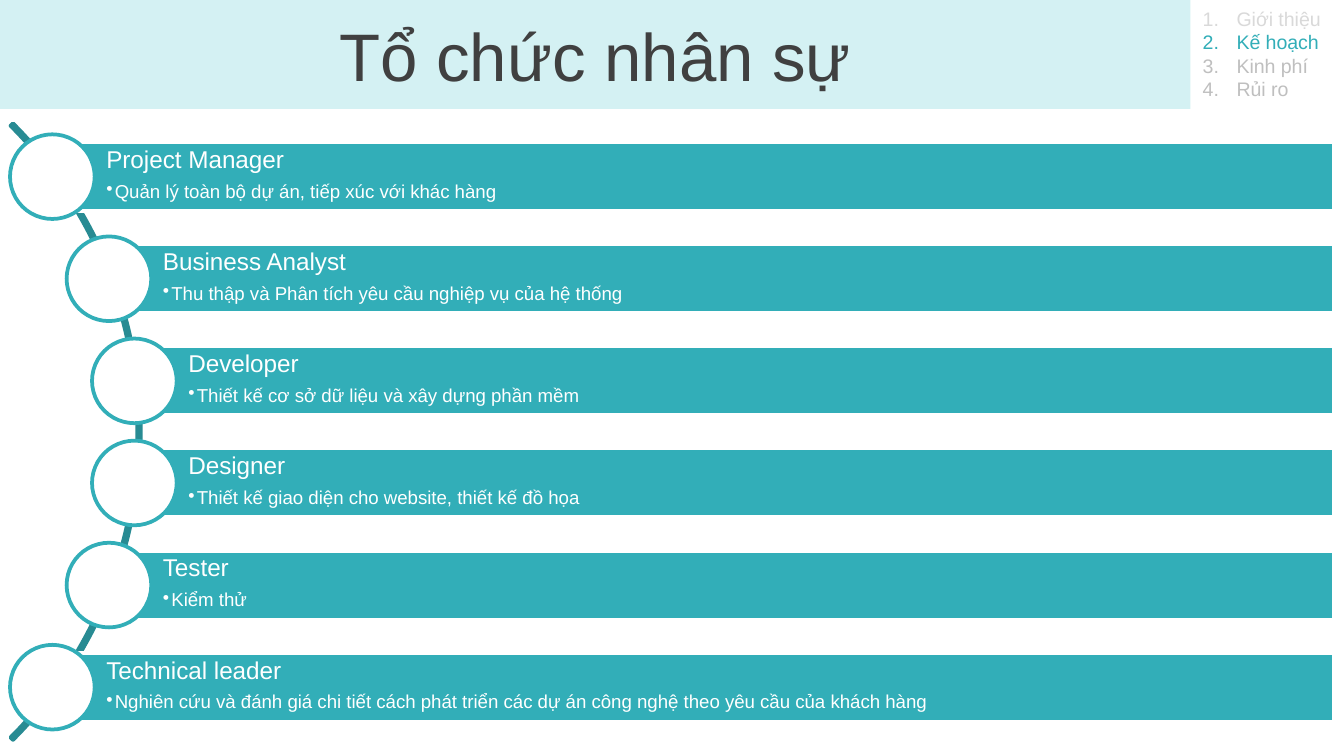
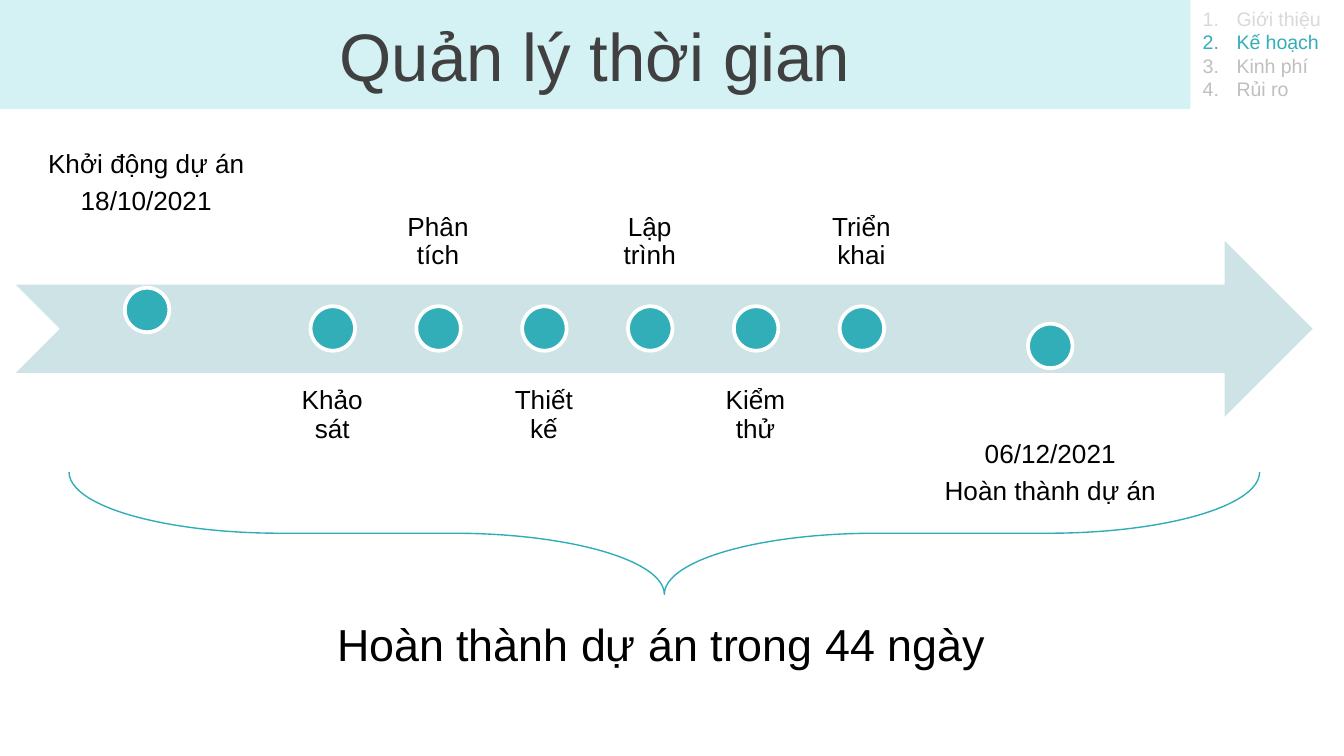
"""Build two slides of a project plan: the team and the timeline."""
import pptx
import pptx.util
import pptx.dml.color
import pptx.enum.shapes
import pptx.enum.text
import lxml.etree

Cm = pptx.util.Cm
Pt = pptx.util.Pt
MSO = pptx.enum.shapes.MSO_SHAPE
ALIGN = pptx.enum.text.PP_ALIGN
ANCHOR = pptx.enum.text.MSO_ANCHOR

FONT = "Arial"
COLORS = {
    "teal": "32AEB8",
    "dark_teal": "288B93",
    "brace": "2EADB7",
    "band": "D4F1F3",
    "arrow": "CEE3E6",
    "title": "404040",
    "past": "D9D9D9",
    "future": "BFBFBF",
    "white": "FFFFFF",
    "black": "000000",
}
AGENDA = [
    ("Giới thiệu", "past"),
    ("Kế hoạch", "teal"),
    ("Kinh phí", "future"),
    ("Rủi ro", "future"),
]
ROLES = [
    ("Project Manager", "Quản lý toàn bộ dự án, tiếp xúc với khác hàng"),
    ("Business Analyst", "Thu thập và Phân tích yêu cầu nghiệp vụ của hệ thống"),
    ("Developer", "Thiết kế cơ sở dữ liệu và xây dựng phần mềm"),
    ("Designer", "Thiết kế giao diện cho website, thiết kế đồ họa"),
    ("Tester", "Kiểm thử"),
    ("Technical leader", "Nghiên cứu và đánh giá chi tiết cách phát triển các dự án "
     "công nghệ theo yêu cầu của khách hàng"),
]
BAR_LEFTS = [0.99, 2.06, 2.54, 2.54, 2.06, 0.99]
BAR_RIGHT = 25.22
ROW_PITCH = 1.93
STEPS = ["Khảo sát", "Phân tích", "Thiết kế", "Lập trình", "Kiểm thử", "Triển khai"]
STEP_PITCH = 2.0


def rgb(name):
    """Return a named colour."""
    return pptx.dml.color.RGBColor.from_string(COLORS[name])


def write(tf, text, size=14, color="black", align=ALIGN.LEFT, spacing=1.0,
          before=0, after=0, bullet=None, indent=0, level=0):
    """Add one formatted paragraph to a text frame."""
    p = tf.paragraphs[0] if not tf.text else tf.add_paragraph()
    p.alignment = align
    p.level = level
    p.line_spacing = spacing
    p.space_before = Pt(before)
    p.space_after = Pt(after)
    r = p.add_run()
    r.text = text
    r.font.name = FONT
    r.font.size = Pt(size)
    r.font.color.rgb = rgb(color)
    if bullet:
        pPr = p._p.get_or_add_pPr()
        pPr.set("marL", str(Cm(indent)))
        pPr.set("indent", str(-Cm(indent)))
        tag, key, value = bullet
        lxml.etree.SubElement(pPr, pptx.oxml.ns.qn(tag)).set(key, value)


def frame(sp, left=0.25, top=0.13, right=0.25, bottom=0.13, anchor=ANCHOR.TOP):
    """Set the margins, wrapping and anchor of a shape's text."""
    tf = sp.text_frame
    tf.word_wrap = True
    tf.auto_size = pptx.enum.text.MSO_AUTO_SIZE.NONE
    tf.vertical_anchor = anchor
    tf.margin_left, tf.margin_top = Cm(left), Cm(top)
    tf.margin_right, tf.margin_bottom = Cm(right), Cm(bottom)
    return tf


def place(sp, left, top, width, height):
    """Move and size a placeholder."""
    sp.left, sp.top, sp.width, sp.height = Cm(left), Cm(top), Cm(width), Cm(height)


def shape(s, kind, left, top, width, height, fill=None, line=None, weight=2):
    """Add a preset shape without a shadow."""
    sp = s.shapes.add_shape(kind, Cm(left), Cm(top), Cm(width), Cm(height))
    sp.shadow.inherit = False
    if fill:
        sp.fill.solid()
        sp.fill.fore_color.rgb = rgb(fill)
    else:
        sp.fill.background()
    if line:
        sp.line.color.rgb = rgb(line)
        sp.line.width = Pt(weight)
    else:
        sp.line.fill.background()
    return sp


def label(s, lines, left, top, width, height, anchor=ANCHOR.TOP):
    """Add a centred timeline label."""
    sp = s.shapes.add_textbox(Cm(left), Cm(top), Cm(width), Cm(height))
    tf = frame(sp, 0.28, 0.28, 0.28, 0.28, anchor)
    for text in lines:
        write(tf, text, align=ALIGN.CENTER, spacing=0.9, after=4.9)


def dot(s, left, top):
    """Add a timeline marker."""
    shape(s, MSO.OVAL, left, top, 0.84, 0.84, "teal", "white")


def new_slide(prs, title):
    """Add a slide with the title band and the agenda."""
    s = prs.slides.add_slide(prs.slide_layouts[1])
    band, agenda = s.shapes.title, s.placeholders[1]
    place(band, 0, 0, 22.5, 2.06)
    band.fill.solid()
    band.fill.fore_color.rgb = rgb("band")
    write(frame(band, anchor=ANCHOR.MIDDLE), title, size=36, color="title",
          align=ALIGN.CENTER)
    place(agenda, 22.48, 0, 2.92, 2.06)
    tf = frame(agenda)
    for text, color in AGENDA:
        write(tf, text, size=10.5, color=color, indent=0.64,
              bullet=("a:buAutoNum", "type", "arabicPeriod"))
    return s


def role_row(s, left, top, role, duty):
    """Add one role bar with its circle."""
    bar = shape(s, MSO.RECTANGLE, left, top + 0.15, BAR_RIGHT - left, 1.3,
                "teal", "white")
    tf = frame(bar, 1.02, 0.1, 0.1, 0.1)
    write(tf, role, size=13, color="white", spacing=0.9, after=4.55)
    write(tf, duty, size=10, color="white", spacing=0.9, after=1.5, level=1,
          bullet=("a:buChar", "char", "•"), indent=0.16)
    shape(s, MSO.OVAL, left - 0.8, top, 1.6, 1.6, "white", "teal")


def team_slide(prs):
    """Build the slide of the team."""
    s = new_slide(prs, "Tổ chức nhân sự")
    arc = shape(s, MSO.BLOCK_ARC, -13.82, -0.08, 16.48, 16.48, line="dark_teal")
    for i, value in enumerate([189, 27, 0.004]):
        arc.adjustments[i] = value
    for i, (left, (role, duty)) in enumerate(zip(BAR_LEFTS, ROLES)):
        role_row(s, left, 2.54 + i * ROW_PITCH, role, duty)


def timeline_slide(prs):
    """Build the slide of the timeline."""
    s = new_slide(prs, "Quản lý thời gian")
    shape(s, MSO.NOTCHED_RIGHT_ARROW, 0.3, 4.55, 24.51, 3.33, "arrow")
    label(s, ["Khởi động dự án", "18/10/2021"], 0.3, 2.39, 4.93, 1.98, ANCHOR.BOTTOM)
    dot(s, 2.36, 5.44)
    for i, step in enumerate(STEPS):
        x = 5.33 + i * STEP_PITCH
        top, anchor = (2.06, ANCHOR.BOTTOM) if i % 2 else (7.04, ANCHOR.TOP)
        label(s, [step], x, top, 1.9, 3.33, anchor)
        dot(s, x + 0.54, 5.79)
    label(s, ["06/12/2021", "Hoàn thành dự án"], 17.35, 8.05, 5, 1.96)
    dot(s, 19.43, 6.12)
    brace = shape(s, MSO.RIGHT_BRACE, 11.4, -1.17, 2.31, 22.5, line="brace", weight=0.75)
    brace.rotation = 90
    brace.adjustments[0] = 1.728
    brace.adjustments[1] = 0.5
    sp = s.shapes.add_textbox(Cm(6.12), Cm(11.53), Cm(12.83), Cm(1.27))
    write(frame(sp), "Hoàn thành dự án trong 44 ngày", size=24)


def main():
    """Build and save the presentation."""
    prs = pptx.Presentation()
    prs.slide_width, prs.slide_height = Cm(25.4), Cm(14.29)
    team_slide(prs)
    timeline_slide(prs)
    prs.save("out.pptx")


main()
